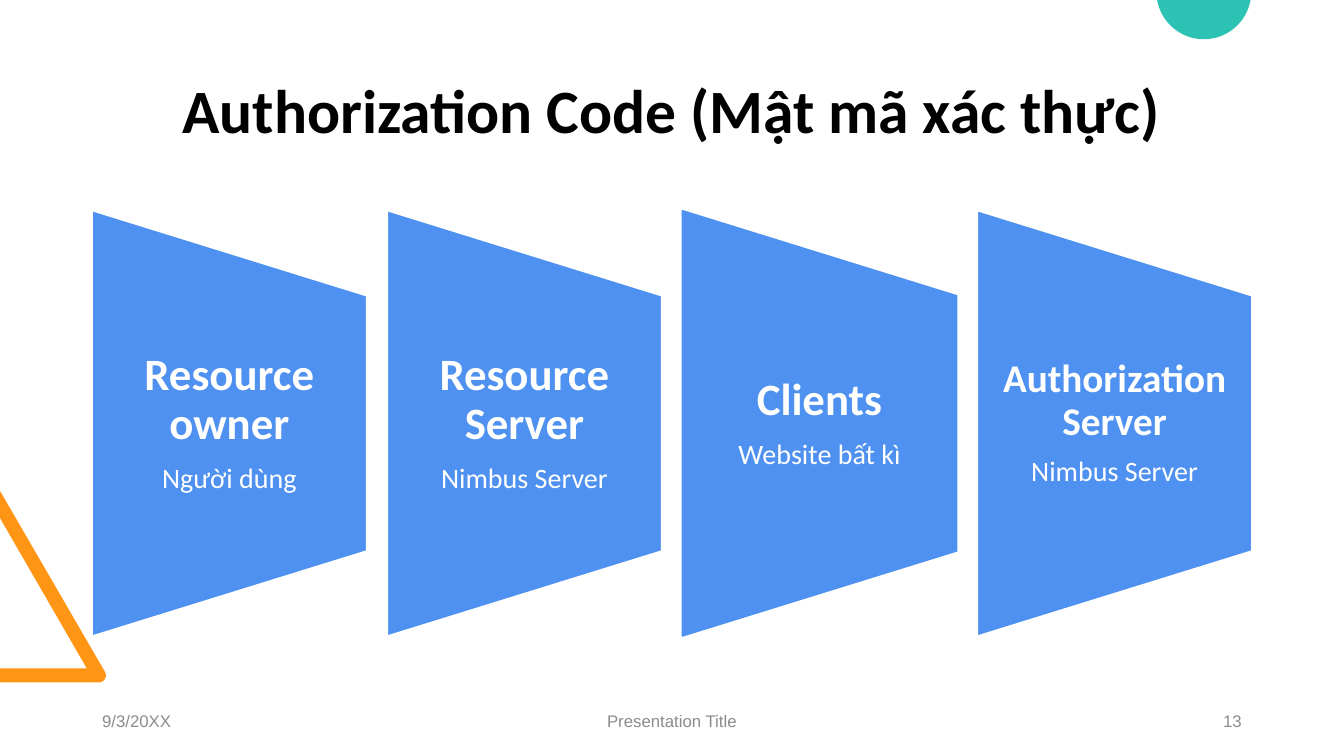
from dataclasses import dataclass
from math import cos, radians, sin

from pptx import Presentation
from pptx.dml.color import RGBColor
from pptx.enum.shapes import MSO_SHAPE
from pptx.enum.text import MSO_ANCHOR, PP_ALIGN
from pptx.shapes.autoshape import Shape
from pptx.slide import Slide
from pptx.util import Inches, Pt

LEFT, CENTER, RIGHT = PP_ALIGN.LEFT, PP_ALIGN.CENTER, PP_ALIGN.RIGHT
MIDDLE = MSO_ANCHOR.MIDDLE
TRAPEZOID = MSO_SHAPE.FLOWCHART_MANUAL_OPERATION

BLACK = RGBColor(0x00, 0x00, 0x00)
WHITE = RGBColor(0xFF, 0xFF, 0xFF)
GRAY = RGBColor(0x8C, 0x8C, 0x8C)
BLUE = RGBColor(0x4E, 0x91, 0xF0)
ORANGE = RGBColor(0xFF, 0x95, 0x14)
TEAL = RGBColor(0x2C, 0xC3, 0xB4)

# Grid in inches: 23 columns between the margins, 150 rows down the slide
SLIDE_WIDTH, SLIDE_HEIGHT = 13.33, 7.5
CONTENT_WIDTH = 11.5
MARGIN = (SLIDE_WIDTH - CONTENT_WIDTH) / 2
COLUMN = CONTENT_WIDTH / 23
ROW = SLIDE_HEIGHT / 150

# Four cards fill the content width with equal gaps
CARD_WIDTH, CARD_HEIGHT = 2.72, 4.22
CARD_MIDDLE = 84 * ROW
CARD_TEXT_HEIGHT = 2.53

Point = tuple[float, float]


@dataclass(frozen=True)
class Line:
    text: str
    size: float
    color: RGBColor
    font: str = "Calibri"
    bold: bool = False
    align: PP_ALIGN = CENTER
    spacing: float = 1.0
    gap_after: float = 0


@dataclass(frozen=True)
class Card:
    heading: str
    detail: str
    size: float = 32
    inset: float = 0.22
    outline: RGBColor = WHITE


@dataclass(frozen=True)
class Label:
    text: str
    column: int
    columns: int
    align: PP_ALIGN


CARDS = [
    Card("Resource owner", "Người dùng"),
    Card("Resource Server", "Nimbus Server"),
    Card("Clients", "Website bất kì", outline=BLUE),
    Card("Authorization Server", "Nimbus Server", size=28, inset=0.19),
]
FOOTER = [
    Label("9/3/20XX", 0, 6, LEFT),
    Label("Presentation Title", 7, 9, CENTER),
    Label("13", 17, 6, RIGHT),
]


def add_text(page: Slide, left: float, top: float, width: float, height: float,
             lines: list[Line], inset: Point = (0.1, 0.05)) -> None:
    box = page.shapes.add_textbox(*map(Inches, (left, top, width, height)))
    side, edge = map(Inches, inset)
    frame_format = {
        "word_wrap": True, "vertical_anchor": MIDDLE,
        "margin_left": side, "margin_right": side,
        "margin_top": edge, "margin_bottom": edge,
    }
    for name, value in frame_format.items():
        setattr(box.text_frame, name, value)
    for index, line in enumerate(lines):
        para = box.text_frame.add_paragraph() if index else box.text_frame.paragraphs[0]
        para_format = {"alignment": line.align, "line_spacing": line.spacing,
                       "space_after": Pt(line.gap_after)}
        for name, value in para_format.items():
            setattr(para, name, value)
        span = para.add_run()
        span.text = line.text
        font_format = {"name": line.font, "size": Pt(line.size), "bold": line.bold}
        for name, value in font_format.items():
            setattr(span.font, name, value)
        span.font.color.rgb = line.color


def fill_shape(shape: Shape, color: RGBColor) -> None:
    shape.shadow.inherit = False
    shape.fill.solid()
    shape.fill.fore_color.rgb = color


def arc(center: Point, radius: float, start: int, end: int) -> list[Point]:
    """Points on a clockwise arc, one every five degrees."""
    return [(center[0] + radius * cos(radians(angle)),
             center[1] + radius * sin(radians(angle)))
            for angle in range(start, end + 1, 5)]


def add_outline(page: Slide, points: list[Point], color: RGBColor) -> None:
    corners = [(Inches(x), Inches(y)) for x, y in points]
    builder = page.shapes.build_freeform(*corners[0], scale=1.0)
    builder.add_line_segments(corners[1:], close=True)
    shape = builder.convert_to_shape()
    fill_shape(shape, color)
    shape.line.fill.background()


def add_card(page: Slide, card: Card, left: float) -> None:
    # The trapezoid is placed upright, then turned about its centre
    middle = left + CARD_WIDTH / 2
    place = (middle - CARD_HEIGHT / 2, CARD_MIDDLE - CARD_WIDTH / 2,
             CARD_HEIGHT, CARD_WIDTH)
    shape = page.shapes.add_shape(TRAPEZOID, *map(Inches, place))
    shape.rotation = 270
    fill_shape(shape, BLUE)
    shape.line.color.rgb = card.outline
    shape.line.width = Pt(1)
    lines = [
        Line(card.heading, card.size, WHITE, bold=True, spacing=0.9,
             gap_after=round(0.35 * card.size)),
        Line(card.detail, 20, WHITE, spacing=0.9),
    ]
    add_text(page, left, CARD_MIDDLE - CARD_TEXT_HEIGHT / 2, CARD_WIDTH,
             CARD_TEXT_HEIGHT, lines, (card.inset, 0))


def main() -> None:
    deck = Presentation()
    deck.slide_width, deck.slide_height = Inches(SLIDE_WIDTH), Inches(SLIDE_HEIGHT)
    page = deck.slides.add_slide(deck.slide_layouts[6])

    # Corner decorations, cut off by the slide's edges
    triangle = [(0, 6.77), (0, 6.63), (0.86, 6.63), (0, 5.14), (0, 4.87)]
    add_outline(page, triangle + arc((0.98, 6.7), 0.07, -30, 90), ORANGE)
    add_outline(page, arc((11.94, -0.08), 0.47, 10, 170), TEAL)

    # Title
    title = Line("Authorization Code (Mật mã xác thực)", 44, BLACK, bold=True, spacing=0.9)
    add_text(page, MARGIN, 8 * ROW, CONTENT_WIDTH, 29 * ROW, [title])

    # Footer
    for label in FOOTER:
        line = Line(label.text, 12, GRAY, font="Arial", align=label.align)
        add_text(page, MARGIN + label.column * COLUMN, 139 * ROW,
                 label.columns * COLUMN, 8 * ROW, [line])

    # Cards
    step = (CONTENT_WIDTH - CARD_WIDTH) / (len(CARDS) - 1)
    for index, card in enumerate(CARDS):
        add_card(page, card, MARGIN + index * step)

    deck.save("out.pptx")


if __name__ == "__main__":
    main()
